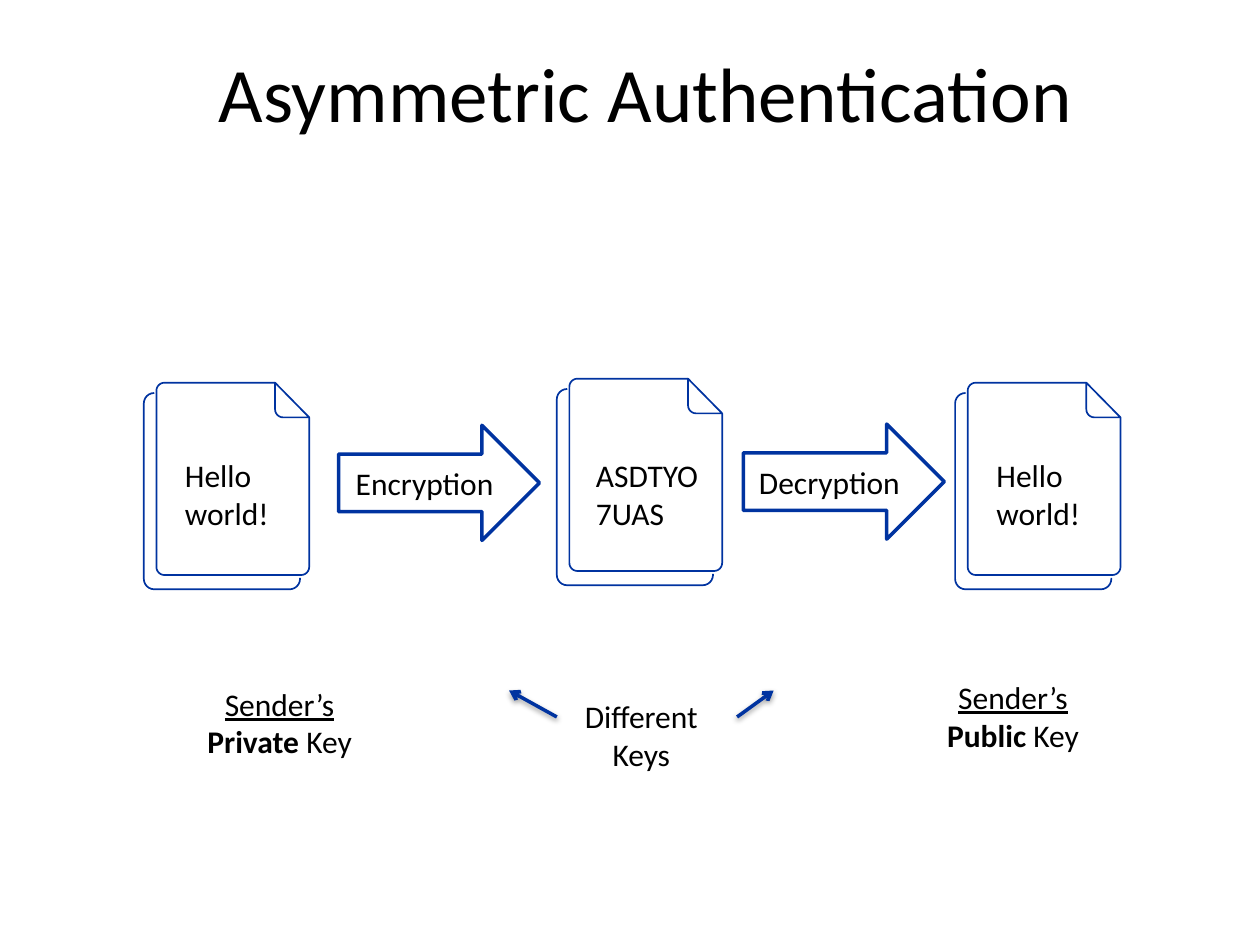
from dataclasses import dataclass
from math import cos, radians, sin

from pptx import Presentation
from pptx.dml.color import RGBColor
from pptx.enum.shapes import MSO_CONNECTOR as CONN, MSO_SHAPE as SHAPE
from pptx.enum.text import MSO_ANCHOR as ANCHOR, PP_ALIGN as ALIGN
from pptx.oxml import parse_xml
from pptx.oxml.ns import nsdecls
from pptx.util import Pt


@dataclass(frozen=True)
class Theme:
    font: str = "Calibri"
    ink: RGBColor = RGBColor(0, 0, 0)
    blue: RGBColor = RGBColor(0x00, 0x33, 0xA0)
    white: RGBColor = RGBColor(255, 255, 255)
    title: float = 44
    body: float = 18
    thin: float = 0.96
    thick: float = 2


THEME = Theme()

# Content: positions in points, text as paragraphs of (text, style) runs
TITLE = "Asymmetric Authentication"
DOCUMENTS = [  # icon left, icon top, text left, text
    (82.2, 218.7, 98.6, "Hello world!"),
    (318.2, 216.4, 333.4, "ASDTYO7UAS"),
    (545.8, 218.7, 562.3, "Hello world!"),
]
STEPS = [(193.5, 243, "Encryption"), (424.8, 242.3, "Decryption")]
LABELS = [  # left, top, width, paragraphs
    (290.9, 394.6, 151.2, [[("Different", "")], [("Keys", "")]]),
    (98.6, 387.7, 122.4, [[("Sender’s ", "u"), ("Private ", "b"), ("Key", "")]]),
    (517.7, 383.8, 122.4, [[("Sender’s ", "u"), ("Public ", "b"), ("Key", "")]]),
]
POINTERS = [(318.2, 409.7, 290.9, 394.6), (421.2, 409.7, 442.1, 394.6)]


def corner(cx, cy, r, start):
    """Points of a quarter turn, clockwise from the start angle."""
    angles = [radians(start + 15 * i) for i in range(7)]
    return [(cx + r * cos(a), cy + r * sin(a)) for a in angles]


def sheet(left, top, right, bottom, r, first, last):
    """Open outline running from the right side round to the top."""
    return [first, *corner(right - r, bottom - r, r, 0),
            *corner(left + r, bottom - r, r, 90),
            *corner(left + r, top + r, r, 180), last]


BACK = sheet(0, 5.9, 89.3, 118.1, 6, (89.3, 111.6), (6, 5.9))
FRONT = sheet(7.2, 0, 94.5, 109.9, 4.6, (94.5, 19.8), (75, 0))
FOLD = [(75, 0), (94.5, 19.8), *corner(79.6, 15.2, 4.6, 90)]
OUTLINES = [(BACK, False), (FRONT, False), (FOLD, True)]


def set_font(font, size):
    font.name, font.size = THEME.font, Pt(size)
    font.color.rgb = THEME.ink


def set_line(line, width):
    line.color.rgb = THEME.blue
    line.width = Pt(width)


def add_text(slide, left, top, width, paragraphs, align):
    tf = slide.shapes.add_textbox(Pt(left), Pt(top), Pt(width), Pt(51)).text_frame
    tf.word_wrap = True
    for i, runs in enumerate(paragraphs):
        p = tf.add_paragraph() if i else tf.paragraphs[0]
        p.alignment = align
        set_font(p.font, THEME.body)
        for text, style in runs:
            r = p.add_run()
            r.text = text
            if style == "u":
                r.font.underline = True
            elif style == "b":
                r.font.bold = True


def add_document(slide, left, top):
    group = slide.shapes.add_group_shape()
    for outline, close in OUTLINES:
        pts = [(Pt(left + x), Pt(top + y)) for x, y in outline]
        builder = group.shapes.build_freeform(*pts[0])
        builder.add_line_segments(pts[1:], close=close)
        s = builder.convert_to_shape()
        s.shadow.inherit = False
        s.fill.background()
        set_line(s.line, THEME.thin)


def add_step(slide, left, top, text):
    s = slide.shapes.add_shape(SHAPE.RIGHT_ARROW, Pt(left), Pt(top), Pt(114.8), Pt(65.8))
    s.shadow.inherit = False
    s.fill.solid()
    s.fill.fore_color.rgb = THEME.white
    set_line(s.line, THEME.thick)
    tf = s.text_frame
    tf.vertical_anchor = ANCHOR.MIDDLE
    p = tf.paragraphs[0]
    p.text, p.alignment = text, ALIGN.CENTER
    set_font(p.font, THEME.body)


def add_pointer(slide, *ends):
    s = slide.shapes.add_connector(CONN.STRAIGHT, *map(Pt, ends))
    set_line(s.line, THEME.thick)
    s.line._get_or_add_ln().append(
        parse_xml(f'<a:tailEnd {nsdecls("a")} type="arrow"/>'))
    s._element.spPr.append(parse_xml(
        f'<a:effectLst {nsdecls("a")}>'
        '<a:outerShdw blurRad="40000" dist="20000" dir="5400000" rotWithShape="0">'
        '<a:srgbClr val="000000"><a:alpha val="38000"/></a:srgbClr>'
        '</a:outerShdw></a:effectLst>'))


def main():
    prs = Presentation()
    prs.slide_width, prs.slide_height = Pt(720), Pt(540)
    slide = prs.slides.add_slide(prs.slide_layouts[5])

    # Title
    s = slide.shapes.title
    s.left, s.top, s.width, s.height = Pt(54), Pt(21.6), Pt(630), Pt(62)
    s.text_frame.vertical_anchor = ANCHOR.MIDDLE
    p = s.text_frame.paragraphs[0]
    p.text, p.alignment = TITLE, ALIGN.CENTER
    set_font(p.font, THEME.title)

    # Documents and the steps between them
    for left, top, text_left, text in DOCUMENTS:
        add_document(slide, left, top)
        add_text(slide, text_left, 257.2, 72.7, [[(text, "")]], ALIGN.LEFT)
    for step in STEPS:
        add_step(slide, *step)

    # Key labels and pointers
    for label in LABELS:
        add_text(slide, *label, ALIGN.CENTER)
    for ends in POINTERS:
        add_pointer(slide, *ends)

    prs.save("out.pptx")


if __name__ == "__main__":
    main()
